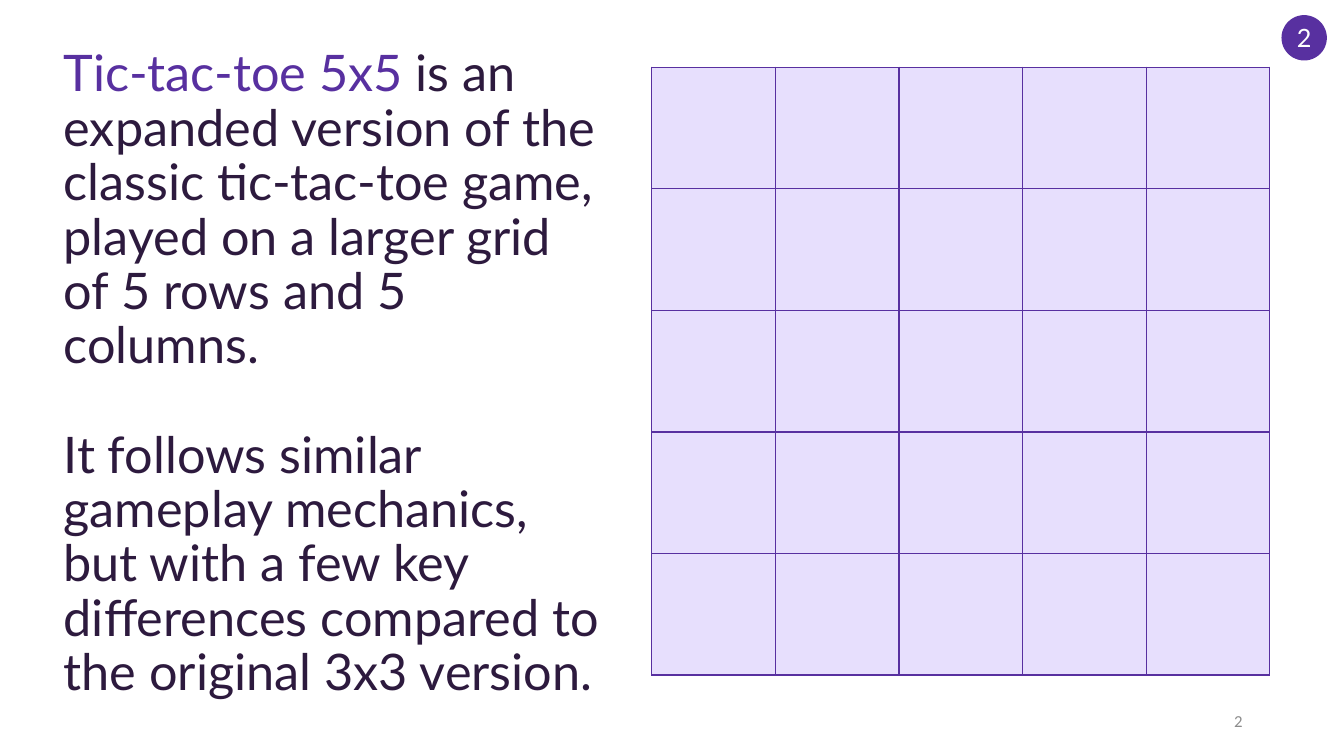
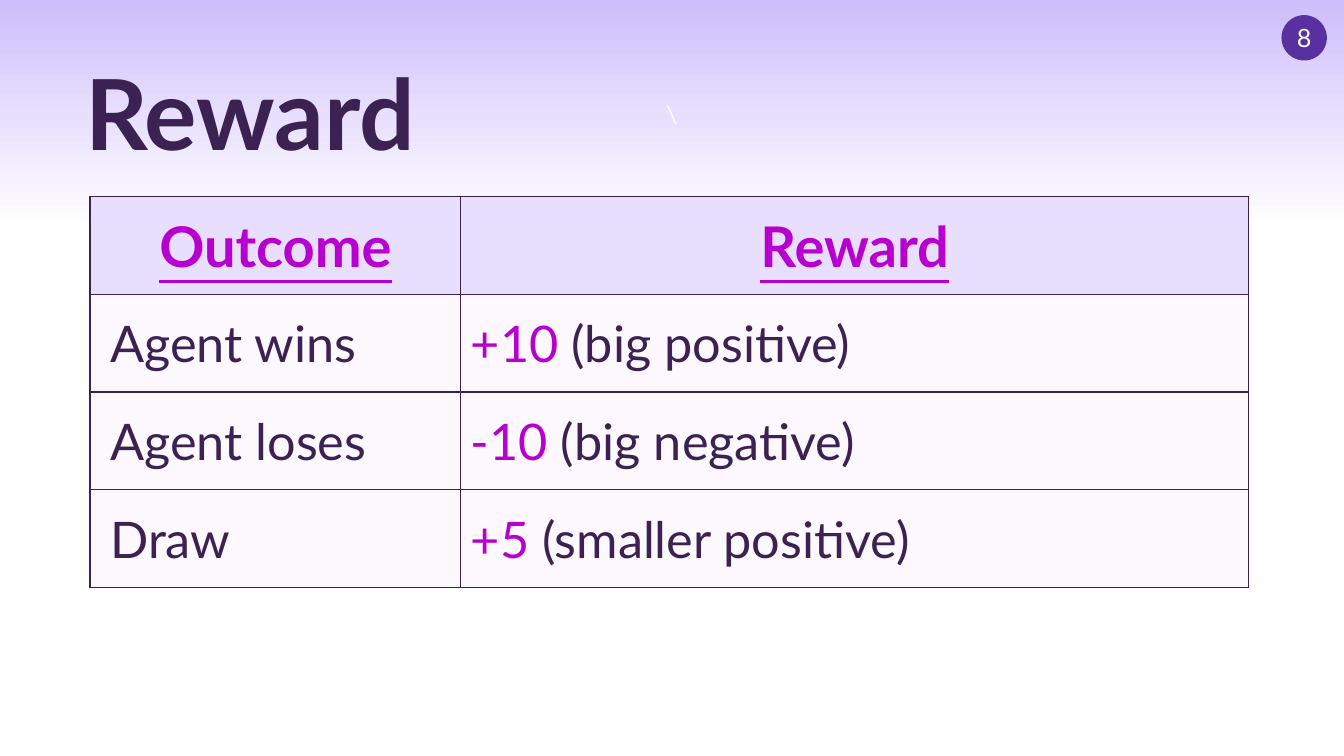
from copy import deepcopy

from pptx import Presentation
from pptx.dml.color import RGBColor
from pptx.enum.shapes import MSO_SHAPE
from pptx.enum.text import MSO_ANCHOR, PP_ALIGN
from pptx.oxml import parse_xml
from pptx.oxml.ns import nsdecls, qn
from pptx.util import Inches, Pt

LEFT, MID, RIGHT = PP_ALIGN.LEFT, PP_ALIGN.CENTER, PP_ALIGN.RIGHT
CENTER = MSO_ANCHOR.MIDDLE
OVAL, BAND = MSO_SHAPE.OVAL, MSO_SHAPE.FLOWCHART_PROCESS
WIDE, HIGH = Inches(13.33), Inches(7.5)

HUE = {
    "violet": "5830A0", "ink": "2D1A3E", "plum": "3B2252",
    "pink": "B700D0", "lilac": "E7DFFD", "mauve": "CDBDFB",
    "blush": "FDF8FE", "grey": "8C8C8C", "white": "FFFFFF",
}
BODY = {"name": "Lato", "size": Pt(36)}
TITLE = {"name": "Lato", "size": Pt(70), "bold": True}
HEAD = {"name": "Lato", "size": Pt(40), "bold": True, "underline": True}
BADGE = {"name": "Lato", "size": Pt(18)}
STRAY = {"name": "Calibri", "size": Pt(18)}
FOOT = {"name": "Calibri", "size": Pt(12)}


def rgb(hue):
    return RGBColor.from_string(HUE[hue])


def area(x, y, w, h):
    """Turn percentages of the slide into a box."""
    return [round(v * full / 100)
            for v, full in zip((x, y, w, h), (WIDE, HIGH, WIDE, HIGH))]


def write(frame, paras, look, align=LEFT, **form):
    """Fill a frame; each paragraph is a list of (text, hue) runs."""
    frame.word_wrap = True
    frame.vertical_anchor = CENTER
    for i, runs in enumerate(paras):
        para = frame.add_paragraph() if i else frame.paragraphs[0]
        para.alignment = align
        para.line_spacing = form.get("line")
        if i:
            para.space_before = form.get("gap")
        for text, hue in runs:
            run = para.add_run()
            run.text = text
            for key, value in look.items():
                setattr(run.font, key, value)
            run.font.color.rgb = rgb(hue)


def label(slide, box, paras, look, align=LEFT, **form):
    write(slide.shapes.add_textbox(*box).text_frame, paras, look, align, **form)


def shape(slide, kind, box, text, look):
    item = slide.shapes.add_shape(kind, *box)
    item.shadow.inherit = False
    item.line.fill.background()
    write(item.text_frame, [[(text, "white")]], look, MID)
    return item


def badge(slide, num):
    item = shape(slide, OVAL, area(95.35, 2, 3.38, 6), num, BADGE)
    item.fill.solid()
    item.fill.fore_color.rgb = rgb("violet")
    frame = item.text_frame
    frame.margin_left = frame.margin_right = 0


def band(slide, box):
    """Top band that fades down to white."""
    item = shape(slide, BAND, box, "\\", STRAY)
    fill = item.fill
    fill.gradient()
    fill.gradient_angle = 270
    stops = item.element.spPr.find(".//" + qn("a:gsLst"))
    stops.append(deepcopy(stops[-1]))
    for stop, spot, hue in zip(fill.gradient_stops, (0, 0.5, 1),
                               ("mauve", "lilac", "white")):
        stop.position = spot
        stop.color.rgb = rgb(hue)


def edge(cell, hue):
    """Draw a one-point border round a cell."""
    props = cell._tc.get_or_add_tcPr()
    for side in "LRTB":
        props.append(parse_xml(
            f'<a:ln{side} {nsdecls("a")} w="12700"><a:solidFill>'
            f'<a:srgbClr val="{HUE[hue]}"/></a:solidFill></a:ln{side}>'))


def grid(slide, box, rows, shares, line, tint):
    """Bordered table; tint gives the fill hue of a row."""
    table = slide.shapes.add_table(rows, len(shares), *box).table
    table.first_row = table.horz_banding = False
    for col, share in zip(table.columns, shares):
        col.width = round(box[2] * share)
    for r, row in enumerate(table.rows):
        row.height = round(box[3] / rows)
        for cell in row.cells:
            edge(cell, line)
            cell.fill.solid()
            cell.fill.fore_color.rgb = rgb(tint(r))
            cell.vertical_anchor = CENTER
    return table


def intro(slide):
    # Text on the left
    label(slide, area(4, 4.8, 41.6, 89.6), [
        [("Tic-tac-toe 5x5 ", "violet"),
         ("is an expanded version of the classic tic-tac-toe game, "
          "played on a larger grid of 5 rows and 5 columns.", "ink")],
        [("It follows similar gameplay mechanics, but with a few key "
          "differences compared to the original 3x3 version.", "ink")],
    ], BODY, line=0.9, gap=Pt(39))
    # Game board
    grid(slide, area(48.5, 8.9, 46, 80.4), 5, [1 / 5] * 5, "violet",
         lambda r: "lilac")
    # Footer number
    label(slide, area(70.7, 92.7, 22.5, 5.3), [[("2", "grey")]], FOOT, RIGHT)
    badge(slide, "2")


def reward(slide):
    band(slide, area(0, 0, 100, 30.1))
    label(slide, area(5.6, 6, 86.3, 19.3), [[("Reward", "plum")]], TITLE,
          line=0.9)
    # Outcomes and their scores
    facts = [("Agent wins", "+10 ", "(big positive)"),
             ("Agent loses", "-10 ", "(big negative)"),
             ("Draw", "+5 ", "(smaller positive)")]
    table = grid(slide, area(6.7, 26, 86.2, 51.7), len(facts) + 1,
                 [0.32, 0.68], "plum", lambda r: "blush" if r else "lilac")
    for c, text in enumerate(("Outcome", "Reward")):
        write(table.cell(0, c).text_frame, [[(text, "pink")]], HEAD, MID)
    for r, (event, score, note) in enumerate(facts, 1):
        first, last = table.cell(r, 0), table.cell(r, 1)
        first.margin_left = Inches(0.2)
        write(first.text_frame, [[(event, "plum")]], BODY)
        write(last.text_frame, [[(score, "pink"), (note, "plum")]], BODY)
    badge(slide, "8")


def main():
    deck = Presentation()
    deck.slide_width, deck.slide_height = WIDE, HIGH
    for build in (intro, reward):
        build(deck.slides.add_slide(deck.slide_layouts[6]))
    deck.save("out.pptx")


if __name__ == "__main__":
    main()
